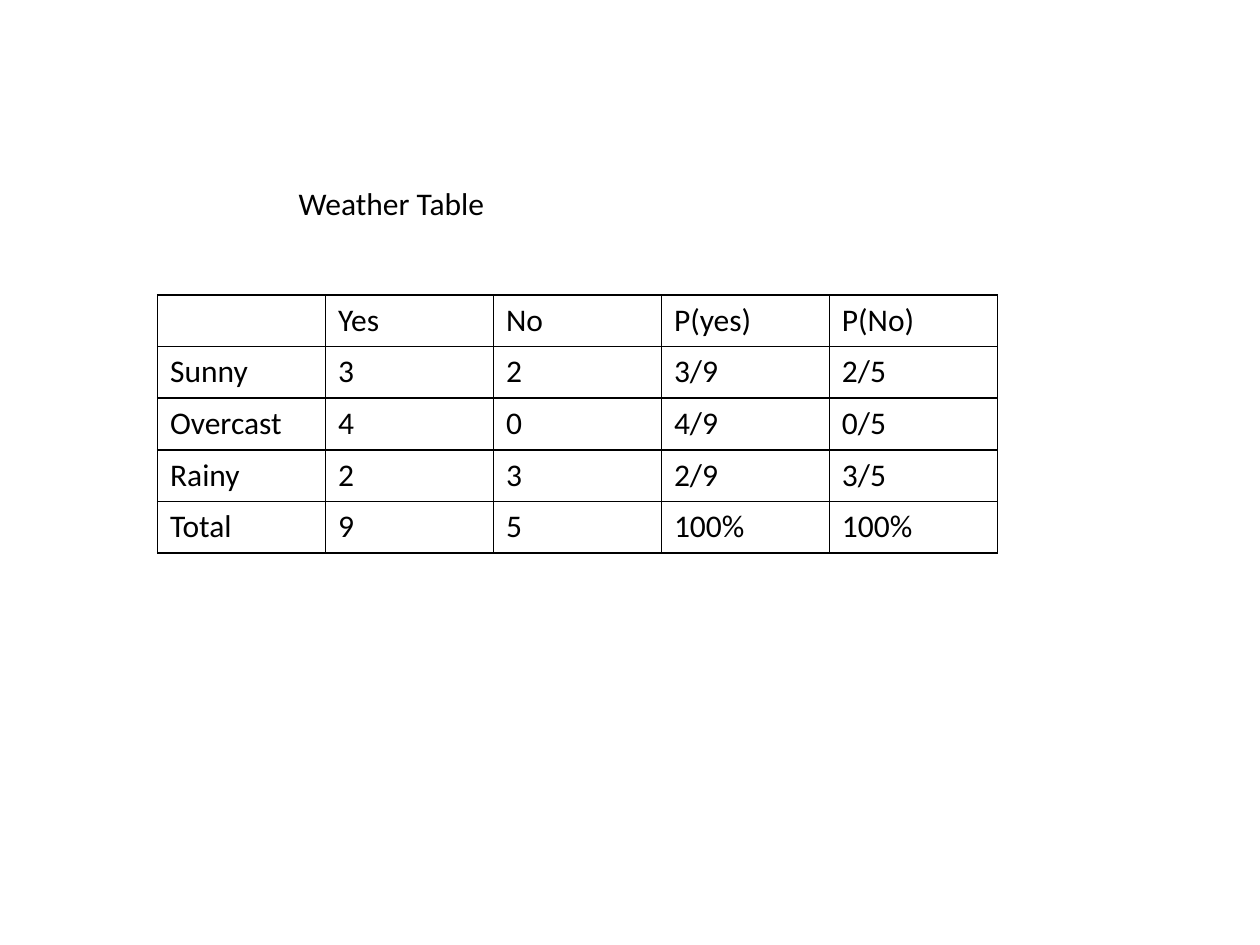
import pptx
import pptx.dml.color
import pptx.enum.text
import pptx.oxml
import pptx.oxml.ns
import pptx.util

TITLE = "Weather Table"
ROWS = [
    ("", "Yes", "No", "P(yes)", "P(No)"),
    ("Sunny", "3", "2", "3/9", "2/5"),
    ("Overcast", "4", "0", "4/9", "0/5"),
    ("Rainy", "2", "3", "2/9", "3/5"),
    ("Total", "9", "5", "100%", "100%"),
]
INK = "000000"
PAPER = "FFFFFF"
SLIDE_WIDTH, SLIDE_HEIGHT = 10, 7.5
TABLE_LEFT, TABLE_TOP = SLIDE_WIDTH / 8, 2.34
TABLE_WIDTH = SLIDE_WIDTH * 2 / 3
ROW_HEIGHT = 0.41
TITLE_BOX = (2.27, 1.41, 3.59, 0.4)


def color(value):
    return pptx.dml.color.RGBColor.from_string(value)


def write_text(frame, text, size=18, font="Calibri", ink=INK):
    paragraph = frame.paragraphs[0]
    paragraph.alignment = pptx.enum.text.PP_ALIGN.LEFT
    if text:
        run = paragraph.add_run()
        run.text = text
        run.font.size = pptx.util.Pt(size)
        run.font.name = font
        run.font.bold = False
        run.font.color.rgb = color(ink)


def add_borders(cell, ink=INK, width=1):
    properties = cell._tc.get_or_add_tcPr()
    for side in ("lnL", "lnR", "lnT", "lnB"):
        properties.append(pptx.oxml.parse_xml(
            f'<a:{side} {pptx.oxml.ns.nsdecls("a")} w="{pptx.util.Pt(width)}">'
            f'<a:solidFill><a:srgbClr val="{ink}"/></a:solidFill></a:{side}>'
        ))


def add_title(slide):
    title = slide.shapes.title
    title.left, title.top, title.width, title.height = map(pptx.util.Inches, TITLE_BOX)
    frame = title.text_frame
    frame.word_wrap = True
    frame.auto_size = pptx.enum.text.MSO_AUTO_SIZE.SHAPE_TO_FIT_TEXT
    frame.vertical_anchor = pptx.enum.text.MSO_ANCHOR.TOP
    write_text(frame, TITLE)


def add_weather_table(slide):
    bounds = (TABLE_LEFT, TABLE_TOP, TABLE_WIDTH, ROW_HEIGHT * len(ROWS))
    table = slide.shapes.add_table(
        len(ROWS), len(ROWS[0]), *map(pptx.util.Inches, bounds)
    ).table
    table.first_row = False
    table.horz_banding = False
    for row_index, row in enumerate(ROWS):
        for column_index, text in enumerate(row):
            cell = table.cell(row_index, column_index)
            write_text(cell.text_frame, text)
            add_borders(cell)
            cell.fill.solid()
            cell.fill.fore_color.rgb = color(PAPER)


def main():
    presentation = pptx.Presentation()
    presentation.slide_width = pptx.util.Inches(SLIDE_WIDTH)
    presentation.slide_height = pptx.util.Inches(SLIDE_HEIGHT)
    slide = presentation.slides.add_slide(presentation.slide_layouts.get_by_name("Title Only"))
    add_weather_table(slide)
    add_title(slide)
    presentation.save("out.pptx")


if __name__ == "__main__":
    main()
